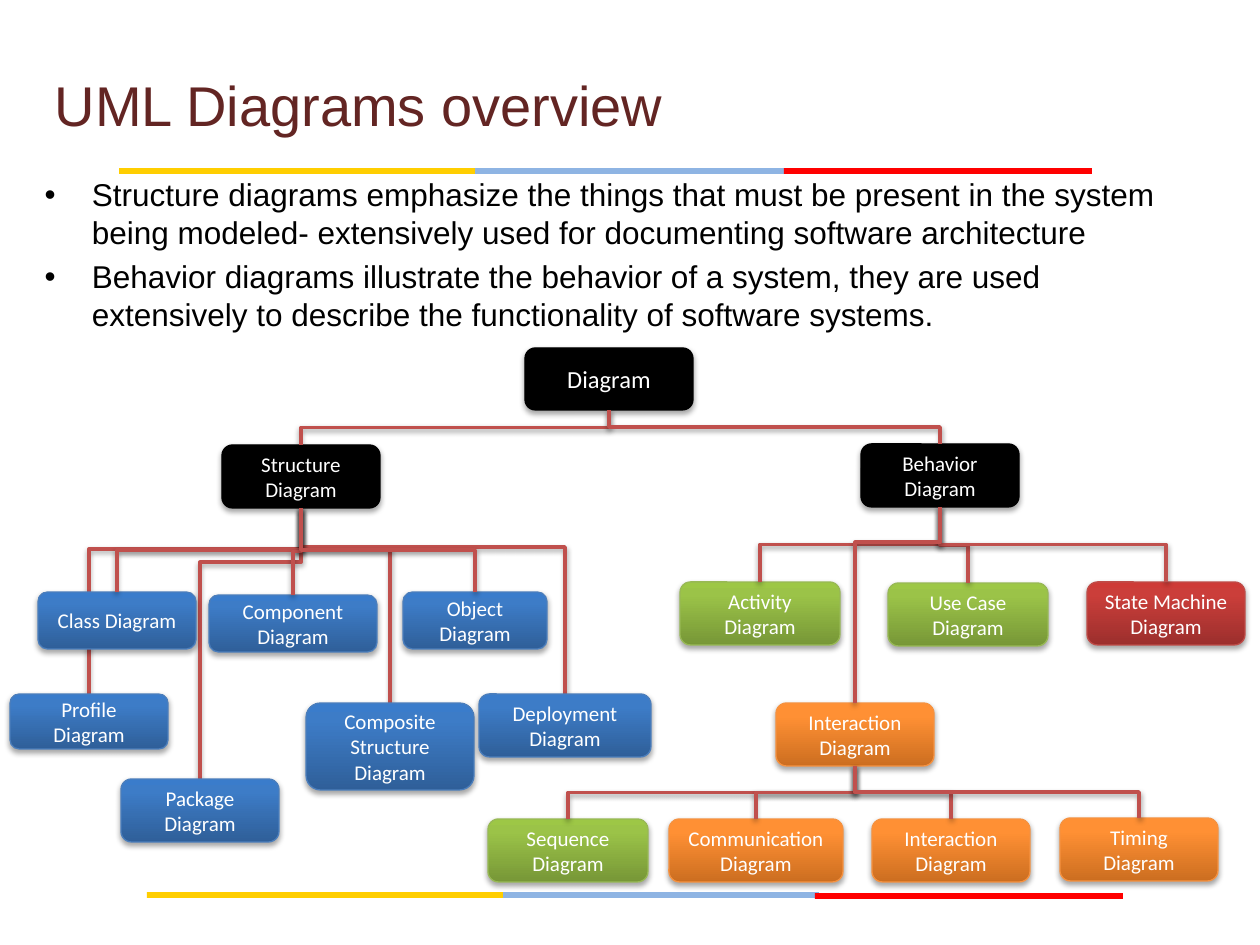
import copy
import dataclasses
import typing

import lxml.etree
import pptx
import pptx.dml.color
import pptx.enum.shapes
import pptx.enum.text
import pptx.oxml.ns
import pptx.util

RGB = pptx.dml.color.RGBColor
KIND = pptx.enum.shapes.MSO_SHAPE
ALIGN = pptx.enum.text.PP_ALIGN
MIDDLE = pptx.enum.text.MSO_ANCHOR.MIDDLE
qn = pptx.oxml.ns.qn
SCALE = 914400 / 126

BLACK = RGB(0x00, 0x00, 0x00)
WHITE = RGB(0xFF, 0xFF, 0xFF)
MAROON = RGB(0x63, 0x25, 0x23)
BRICK = RGB(0xC0, 0x50, 0x4D)
GOLD = RGB(0xFF, 0xCE, 0x00)
SKY = RGB(0x8E, 0xB4, 0xE3)
RED = RGB(0xFF, 0x00, 0x00)

TITLE = {"name": "Arial", "size": pptx.util.Pt(32)}
BODY = {"name": "Arial", "size": pptx.util.Pt(18)}
ROOT = {"name": "Calibri", "size": pptx.util.Pt(14)}
NODE = {"name": "Calibri", "size": pptx.util.Pt(12)}


@dataclasses.dataclass(frozen=True)
class Paint:
    edge: RGB
    stops: tuple[RGB, ...]


INK = Paint(BLACK, (BLACK,))
BLUE = Paint(RGB(0x4B, 0x7E, 0xBC), (RGB(0x2F, 0x5F, 0x99), RGB(0x3D, 0x7C, 0xC7), RGB(0x3A, 0x7C, 0xCB)))
ROSE = Paint(RGB(0xBF, 0x4C, 0x48), (RGB(0x9C, 0x2F, 0x2D), RGB(0xCB, 0x3E, 0x3A), RGB(0xCE, 0x3B, 0x37)))
GREEN = Paint(RGB(0x98, 0xB9, 0x55), (RGB(0x77, 0x97, 0x37), RGB(0x9B, 0xC3, 0x48), RGB(0x9D, 0xC7, 0x46)))
ORANGE = Paint(RGB(0xF6, 0x92, 0x40), (RGB(0xCC, 0x6E, 0x20), RGB(0xFF, 0x90, 0x34), RGB(0xFF, 0x91, 0x36)))


class Bar(typing.NamedTuple):
    x: int
    y: int
    w: int
    tint: RGB


class Node(typing.NamedTuple):
    key: str
    text: str
    x: int
    y: int
    w: int
    h: int
    paint: Paint
    up: str = ""
    bend: float = 0.5
    back: bool = False


BARS = [
    Bar(470, 168, 321, SKY), Bar(784, 168, 308, RED), Bar(119, 168, 356, GOLD),
    Bar(498, 892, 321, SKY), Bar(815, 893, 308, RED), Bar(147, 892, 356, GOLD),
]

NODES = [
    Node("root", "Diagram", 525, 348, 168, 62, INK),
    Node("struct", "Structure Diagram", 222, 445, 158, 63, INK, "root"),
    Node("behave", "Behavior Diagram", 861, 444, 158, 63, INK, "root"),
    Node("class", "Class Diagram", 38, 592, 158, 57, BLUE, "struct"),
    Node("part", "Component Diagram", 209, 595, 168, 57, BLUE, "struct"),
    Node("object", "Object Diagram", 403, 592, 144, 57, BLUE, "struct"),
    Node("profile", "Profile Diagram", 10, 694, 158, 55, BLUE, "struct", 0.78, True),
    Node("blend", "Composite Structure Diagram", 306, 703, 168, 87, BLUE, "struct", 0.79, True),
    Node("deploy", "Deployment Diagram", 479, 694, 172, 63, BLUE, "struct", 0.79, True),
    Node("pack", "Package Diagram", 121, 779, 158, 63, BLUE, "struct", 0.8, True),
    Node("act", "Activity Diagram", 680, 582, 160, 63, GREEN, "behave"),
    Node("use", "Use Case Diagram", 888, 583, 160, 63, GREEN, "behave"),
    Node("state", "State Machine Diagram", 1087, 582, 158, 63, ROSE, "behave"),
    Node("link", "Interaction Diagram", 776, 703, 158, 63, ORANGE, "behave", 0.82),
    Node("order", "Sequence Diagram", 488, 819, 160, 63, GREEN, "link"),
    Node("talk", "Communication Diagram", 669, 819, 174, 63, ORANGE, "link"),
    Node("view", "Interaction Diagram", 872, 819, 158, 63, ORANGE, "link"),
    Node("time", "Timing Diagram", 1060, 818, 158, 63, ORANGE, "link"),
]

LINES = [
    "Structure diagrams emphasize the things that must be present in the system "
    "being modeled- extensively used for documenting software architecture",
    "Behavior diagrams illustrate the behavior of a system, they are used "
    "extensively to describe the functionality of software systems.",
]


def px(size: float) -> int:
    return pptx.util.Emu(round(size * SCALE))


def dress(font, style: dict, tint: RGB) -> None:
    for name, value in style.items():
        setattr(font, name, value)
    font.color.rgb = tint


def place(shape, x: int, y: int, w: int, h: int) -> None:
    for name, value in {"left": x, "top": y, "width": w, "height": h}.items():
        setattr(shape, name, px(value))


def shade(effects, drop: int, alpha: int) -> None:
    cast = lxml.etree.SubElement(
        effects, qn("a:outerShdw"), blurRad="40000", dist=str(drop),
        dir="5400000", rotWithShape="0")
    tone = lxml.etree.SubElement(cast, qn("a:srgbClr"), val=str(BLACK))
    lxml.etree.SubElement(tone, qn("a:alpha"), val=str(alpha * 1000))


def fill(shape, paint: Paint) -> None:
    if len(paint.stops) == 1:
        shape.fill.solid()
        shape.fill.fore_color.rgb = paint.stops[0]
        return
    shape.fill.gradient()
    shape.fill.gradient_angle = 90
    stops = shape._element.spPr.find(".//" + qn("a:gsLst"))
    stops.append(copy.deepcopy(stops[-1]))
    for stop, spot, tint in zip(shape.fill.gradient_stops, (0, 0.8, 1), paint.stops):
        stop.position = spot
        stop.color.rgb = tint


def draw_bar(slide, bar: Bar) -> None:
    shape = slide.shapes.add_shape(KIND.RECTANGLE, px(bar.x), px(bar.y), px(bar.w), px(6))
    shape.shadow.inherit = False
    shape.fill.solid()
    shape.fill.fore_color.rgb = bar.tint
    shape.line.fill.background()


def draw_node(slide, node: Node):
    shape = slide.shapes.add_shape(
        KIND.ROUNDED_RECTANGLE, px(node.x), px(node.y), px(node.w), px(node.h))
    shape.shadow.inherit = False
    shade(shape._element.spPr.find(qn("a:effectLst")), 23000, 35)
    fill(shape, node.paint)
    shape.line.color.rgb = node.paint.edge
    shape.line.width = pptx.util.Pt(0.75)
    frame = shape.text_frame
    frame.word_wrap = True
    frame.vertical_anchor = MIDDLE
    frame.text = node.text
    para = frame.paragraphs[0]
    para.alignment = ALIGN.CENTER
    dress(para.runs[0].font, NODE if node.up else ROOT, WHITE)
    return shape


def draw_link(slide, node: Node, child, head):
    x1, y1 = child.left + child.width // 2, child.top
    x2, y2 = head.left + head.width // 2, head.top + head.height
    wire = slide.shapes.add_connector(pptx.enum.shapes.MSO_CONNECTOR.ELBOW, x1, y1, x2, y2)
    wire.begin_connect(child, 0)
    wire.end_connect(head, 2)
    wide, tall = abs(x2 - x1), abs(y2 - y1)
    wire.left, wire.top = (x1 + x2 - tall) // 2, (y1 + y2 - wide) // 2
    wire.width, wire.height = tall, wide
    props = wire._element.spPr
    form = props.find(qn("a:xfrm"))
    form.attrib.clear()
    turn = {"rot": "5400000", "flipH": "1", "flipV": "1"} if x1 < x2 else {"rot": "16200000", "flipV": "1"}
    for name, value in turn.items():
        form.set(name, value)
    shape = props.find(qn("a:prstGeom"))
    guides = shape.find(qn("a:avLst"))
    if guides is None:
        guides = lxml.etree.SubElement(shape, qn("a:avLst"))
    lxml.etree.SubElement(guides, qn("a:gd"), name="adj1", fmla=f"val {round(node.bend * 100000)}")
    wire.line.color.rgb = BRICK
    wire.line.width = pptx.util.Pt(2)
    shade(lxml.etree.SubElement(props, qn("a:effectLst")), 20000, 38)
    return wire


def main() -> None:
    deck = pptx.Presentation()
    deck.slide_width, deck.slide_height = px(1260), px(945)
    slide = deck.slides.add_slide(deck.slide_layouts[1])
    for bar in BARS:
        draw_bar(slide, bar)

    title, body = slide.shapes.title, slide.placeholders[1]
    place(title, 42, 39, 1134, 130)
    title.text_frame.text = "UML Diagrams overview"
    title.text_frame.vertical_anchor = MIDDLE
    para = title.text_frame.paragraphs[0]
    para.alignment = ALIGN.LEFT
    dress(para.runs[0].font, TITLE, MAROON)
    place(body, 32, 169, 1155, 199)
    body.text_frame.text = "\n".join(LINES)
    for para in body.text_frame.paragraphs:
        dress(para.runs[0].font, BODY, BLACK)

    shapes = {node.key: draw_node(slide, node) for node in NODES}
    for node in NODES:
        if node.up:
            wire = draw_link(slide, node, shapes[node.key], shapes[node.up])
            if node.back:
                shapes["root"]._element.addprevious(wire._element)
    deck.save("out.pptx")


if __name__ == "__main__":
    main()
